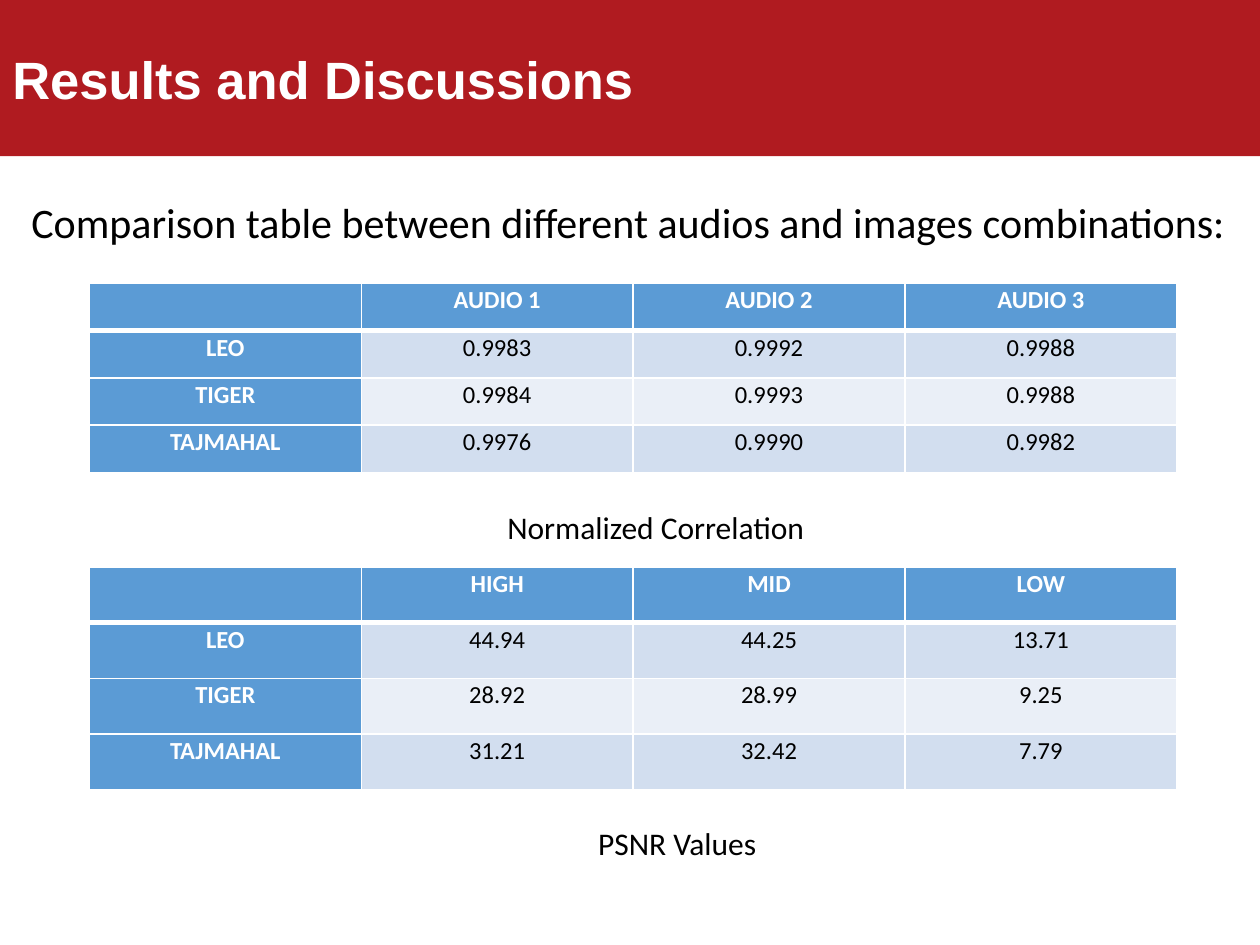
import dataclasses

import pptx
import pptx.dml.color
import pptx.enum.shapes
import pptx.enum.text
import pptx.oxml
import pptx.oxml.ns
import pptx.util

Inches = pptx.util.Inches
Pt = pptx.util.Pt
ALIGN = pptx.enum.text.PP_ALIGN
ANCHOR = pptx.enum.text.MSO_ANCHOR


@dataclasses.dataclass(frozen=True)
class Theme:
    banner: str = "B01B20"
    header: str = "5B9BD5"
    band_dark: str = "D2DEEF"
    band_light: str = "EAEFF7"
    white: str = "FFFFFF"
    black: str = "000000"
    title_font: str = "Arial"
    body_font: str = "Calibri"
    title_size: int = 30
    intro_size: int = 24
    caption_size: int = 18
    cell_size: int = 14
    thin_line: int = 1
    thick_line: int = 3


THEME = Theme()
CELL_PARAGRAPH = {"alignment": ALIGN.CENTER, "line_spacing": 1.07, "space_after": Pt(8)}
CELL_MARGINS = {
    "margin_left": Inches(0.07),
    "margin_right": Inches(0.07),
    "margin_top": 0,
    "margin_bottom": 0,
}


def apply_format(target, values):
    for name, value in values.items():
        setattr(target, name, value)


def fill_solid(target, color):
    target.fill.solid()
    target.fill.fore_color.rgb = pptx.dml.color.RGBColor.from_string(color)


def write_text(text_frame, text, color, font_values, paragraph_values):
    paragraph = text_frame.paragraphs[0]
    apply_format(paragraph, paragraph_values)
    run = paragraph.add_run()
    run.text = text
    apply_format(run.font, font_values)
    run.font.color.rgb = pptx.dml.color.RGBColor.from_string(color)


def set_borders(cell, widths):
    properties = cell._tc.get_or_add_tcPr()
    for index, (side, width) in enumerate(widths.items()):
        border = pptx.oxml.parse_xml(
            f'<a:ln{side} {pptx.oxml.ns.nsdecls("a")} w="{Pt(width)}">'
            f'<a:solidFill><a:srgbClr val="{THEME.white}"/></a:solidFill></a:ln{side}>'
        )
        properties.insert(index, border)


def add_banner(slide, box, text):
    shape = slide.shapes.add_shape(pptx.enum.shapes.MSO_SHAPE.RECTANGLE, *box)
    shape.shadow.inherit = False
    fill_solid(shape, THEME.banner)
    shape.line.fill.background()
    apply_format(shape.text_frame, {"word_wrap": True, "vertical_anchor": ANCHOR.MIDDLE})
    font_values = {"name": THEME.title_font, "size": Pt(THEME.title_size), "bold": True}
    write_text(shape.text_frame, text, THEME.white, font_values, {"alignment": ALIGN.LEFT})


def add_label(slide, box, text, size, paragraph_values):
    shape = slide.shapes.add_textbox(*box)
    shape.text_frame.word_wrap = True
    font_values = {"name": THEME.body_font, "size": Pt(size)}
    write_text(shape.text_frame, text, THEME.black, font_values, paragraph_values)


def format_cell(cell, text, row, column):
    is_heading = row == 0 or column == 0
    band = THEME.band_dark if row % 2 else THEME.band_light
    apply_format(cell, CELL_MARGINS)
    fill_solid(cell, THEME.header if is_heading else band)
    set_borders(cell, {
        "L": THEME.thin_line,
        "R": THEME.thin_line,
        "T": THEME.thick_line if row == 1 else THEME.thin_line,
        "B": THEME.thick_line if row == 0 else THEME.thin_line,
    })
    if text:
        color = THEME.white if is_heading else THEME.black
        font_values = {
            "name": THEME.body_font, "size": Pt(THEME.cell_size), "bold": is_heading,
        }
        write_text(cell.text_frame, text, color, font_values, CELL_PARAGRAPH)


def add_results_table(slide, box, rows):
    table = slide.shapes.add_table(len(rows), len(rows[0]), *box).table
    for row, values in enumerate(rows):
        for column, text in enumerate(values):
            format_cell(table.cell(row, column), text, row, column)


def build_results_slide(presentation):
    slide = presentation.slides.add_slide(presentation.slide_layouts[6])
    add_banner(
        slide, (0, 0, presentation.slide_width, Inches(1.24)), "Results and Discussions"
    )
    add_label(
        slide,
        (Inches(0.15), Inches(1.31), Inches(9.85), Inches(0.64)),
        "Comparison table between different audios and images combinations:",
        THEME.intro_size,
        {"line_spacing": 1.5, "space_after": Pt(8)},
    )
    correlation_rows = [
        ("", "AUDIO 1", "AUDIO 2", "AUDIO 3"),
        ("LEO", "0.9983", "0.9992", "0.9988"),
        ("TIGER", "0.9984", "0.9993", "0.9988"),
        ("TAJMAHAL", "0.9976", "0.9990", "0.9982"),
    ]
    psnr_rows = [
        ("", "HIGH", "MID", "LOW"),
        ("LEO", "44.94", "44.25", "13.71"),
        ("TIGER", "28.92", "28.99", "9.25"),
        ("TAJMAHAL", "31.21", "32.42", "7.79"),
    ]
    sections = [
        (correlation_rows, 2.25, 1.5, "Normalized Correlation", 3.55, 3.98),
        (psnr_rows, 4.5, 1.77, "PSNR Values", 3.72, 6.49),
    ]
    for rows, top, height, caption, caption_left, caption_top in sections:
        add_results_table(
            slide, (Inches(0.71), Inches(top), Inches(8.63), Inches(height)), rows
        )
        add_label(
            slide,
            (Inches(caption_left), Inches(caption_top), Inches(3.31), Inches(0.4)),
            caption,
            THEME.caption_size,
            {"alignment": ALIGN.CENTER},
        )


def main():
    presentation = pptx.Presentation()
    apply_format(presentation, {"slide_width": Inches(10), "slide_height": Inches(7.5)})
    build_results_slide(presentation)
    presentation.save("out.pptx")


if __name__ == "__main__":
    main()
